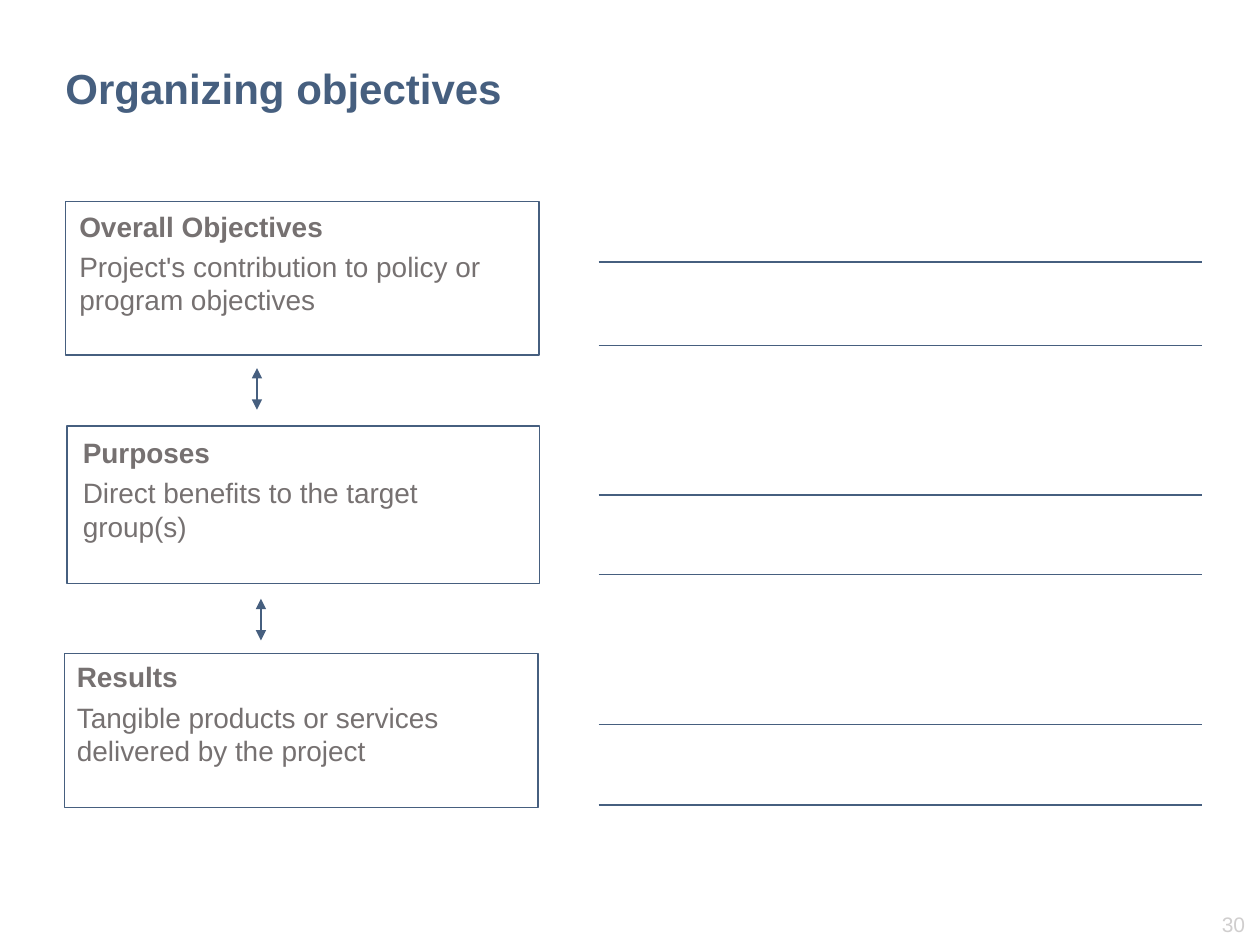
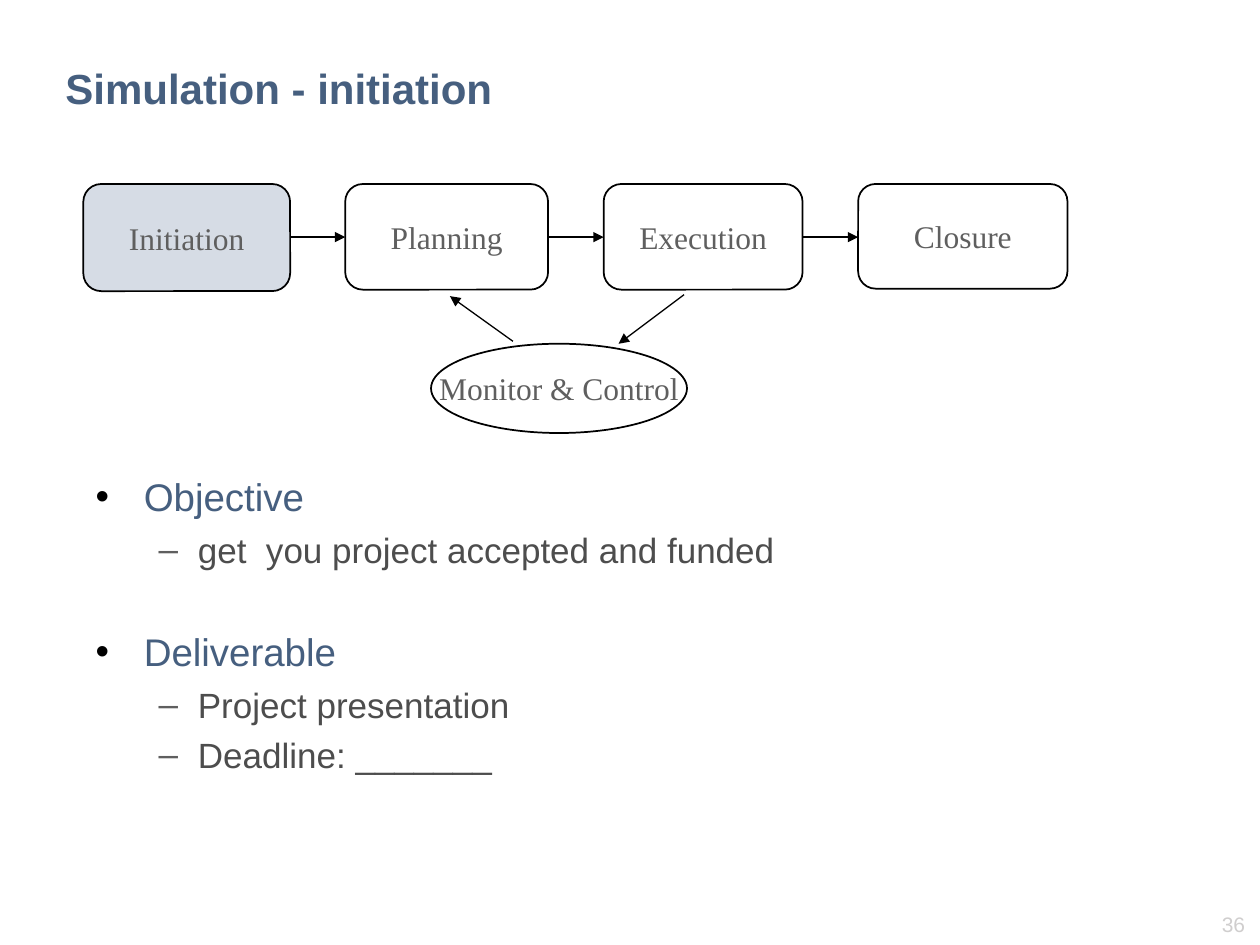
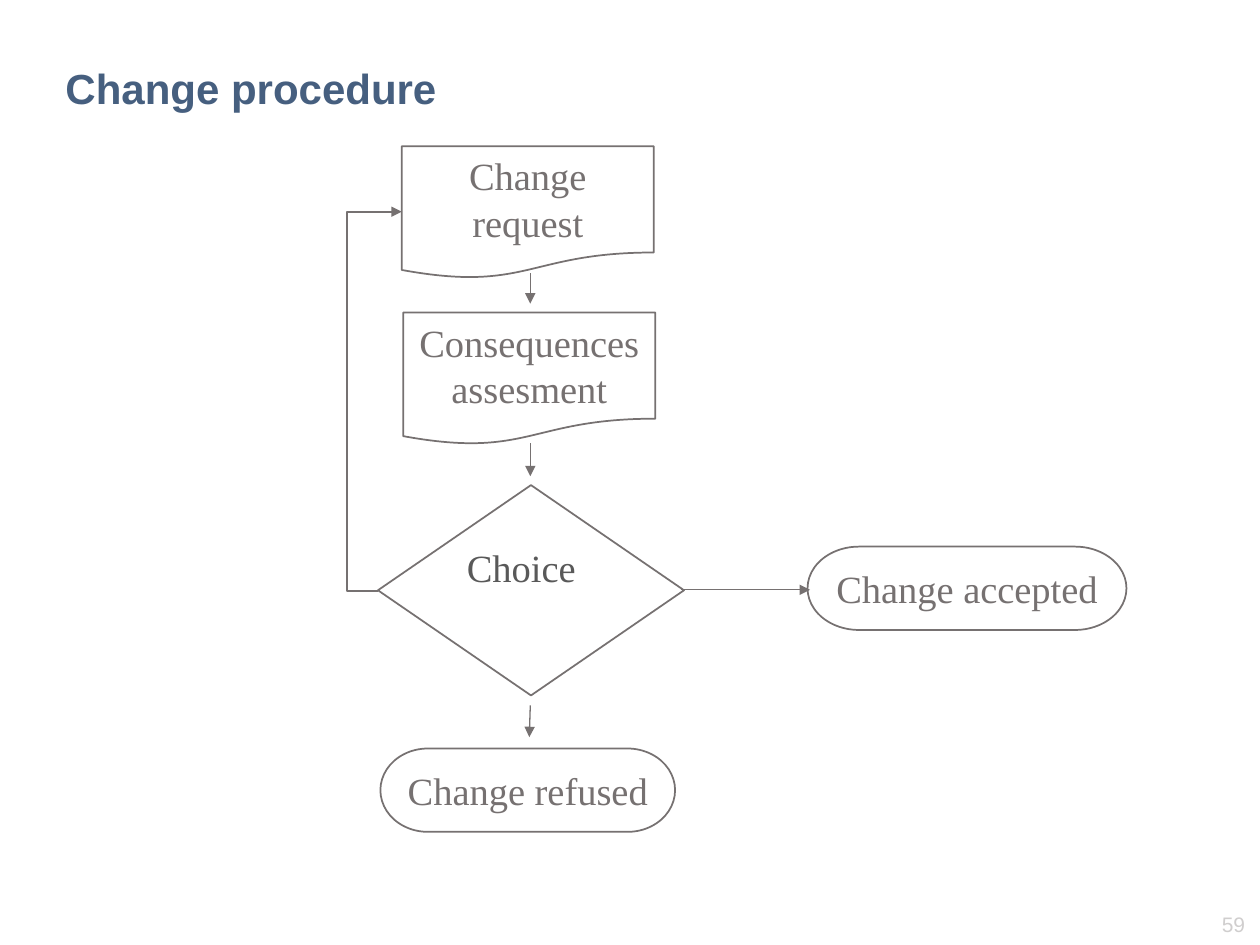
"""Three project management slides: objectives, initiation simulation and change procedure."""
from lxml.etree import SubElement
from pptx import Presentation
from pptx.dml.color import RGBColor
from pptx.enum.shapes import MSO_CONNECTOR, MSO_SHAPE
from pptx.enum.text import MSO_ANCHOR, PP_ALIGN
from pptx.oxml.ns import qn
from pptx.util import Cm, Pt

NAVY, GREY, MID_GREY, DARK_GREY = "465F7F", "767171", "5F5F5F", "4D4D4D"
BLACK, PALE_BLUE, PAGE_GREY = "000000", "D6DCE5", "D0CECE"
SANS, SERIF = "Arial", "Times New Roman"
color = RGBColor.from_string


def add_block(slide, box, lines=(), kind=None, size=16, font=SANS, ink=GREY, fill=None,
              edge=None, weight=1, align=PP_ALIGN.LEFT, anchor=MSO_ANCHOR.TOP, wrap=True):
    """Add a preset shape, or a text box when no kind is given, and return it."""
    place = [Cm(length) for length in box]
    if kind is None:
        block = slide.shapes.add_textbox(*place)
    else:
        block = slide.shapes.add_shape(kind, *place)
        block.shadow.inherit = False
    if fill:
        block.fill.solid()
        block.fill.fore_color.rgb = color(fill)
    else:
        block.fill.background()
    if edge:
        block.line.color.rgb = color(edge)
        block.line.width = Pt(weight)
    else:
        block.line.fill.background()
    frame = block.text_frame
    frame.word_wrap = wrap
    frame.vertical_anchor = anchor
    frame.text = "\n".join(lines)
    for paragraph in frame.paragraphs:
        paragraph.alignment = align
        for run in paragraph.runs:
            run.font.name = font
            run.font.size = Pt(size)
            run.font.color.rgb = color(ink)
    return block


def add_line(slide, start, end, ink, weight=0.75, ends=(), kind=MSO_CONNECTOR.STRAIGHT):
    """Add a connector with triangle heads at the named ends and return it."""
    line = slide.shapes.add_connector(kind, *(Cm(length) for length in (*start, *end)))
    line.line.color.rgb = color(ink)
    line.line.width = Pt(weight)
    properties = line._element.spPr
    for name in ends:
        SubElement(properties.find(qn("a:ln")), qn(f"a:{name}"), type="triangle")
    SubElement(properties, qn("a:effectLst"))
    return line


deck = Presentation()
deck.slide_width, deck.slide_height = Cm(25.4), Cm(19.05)

slides = []
for heading, page in [("Organizing objectives", "30"), ("Simulation - initiation", "36"),
                      ("Change procedure", "59")]:
    slide = deck.slides.add_slide(deck.slide_layouts[6])
    title = add_block(slide, (1.07, 0.81, 19.74, 1.9), [heading], size=24, ink=NAVY,
                      anchor=MSO_ANCHOR.MIDDLE)
    title.text_frame.paragraphs[0].runs[0].font.bold = True
    add_block(slide, (23.27, 18.26, 2.08, 0.76), [page], size=12, ink=PAGE_GREY,
              align=PP_ALIGN.RIGHT)
    slides.append(slide)
objectives, simulation, procedure = slides

levels = [
    ((1.32, 4.06, 9.55, 3.1), (1.35, 4.09, 9.32, 2.44), "Overall Objectives",
     "Project's contribution to policy or program objectives", (5.28, 6.96)),
    ((1.35, 8.59, 9.53, 3.18), (1.42, 8.66, 8.26, 2.44), "Purposes",
     "Direct benefits to the target group(s)", (9.98, 11.58)),
    ((1.3, 13.18, 9.55, 3.1), (1.3, 13.18, 8.64, 2.44), "Results",
     "Tangible products or services delivered by the project", (14.6, 16.23)),
]
for border, text_area, level, meaning, answer_rules in levels:
    add_block(objectives, border, kind=MSO_SHAPE.RECTANGLE, edge=NAVY, weight=0.75)
    name, description = add_block(objectives, text_area,
                                  [level, meaning]).text_frame.paragraphs
    name.runs[0].font.bold = True
    description.space_before = Pt(3.7)
    for y in answer_rules:
        add_line(objectives, (12.07, y), (24.23, y), NAVY)
for x, y in [(5.18, 7.42), (5.26, 12.07)]:
    add_line(objectives, (x, y), (x, y + 0.84), NAVY, ends=("headEnd", "tailEnd"))

phases = [("Initiation", 1.68, 4.17, 2.16, PALE_BLUE), ("Planning", 6.96, 4.09, 2.13, None),
          ("Execution", 12.17, 4.01, 2.13, None), ("Closure", 17.3, 4.22, 2.11, None)]
for phase, left, width, height, fill in phases:
    add_block(simulation, (left, 3.71, width, height), [phase], MSO_SHAPE.ROUNDED_RECTANGLE,
              18, SERIF, MID_GREY, fill, BLACK, align=PP_ALIGN.CENTER,
              anchor=MSO_ANCHOR.MIDDLE, wrap=False)
add_block(simulation, (8.69, 6.93, 5.16, 1.8), ["Monitor & Control"], MSO_SHAPE.OVAL, 18, SERIF,
          MID_GREY, edge=BLACK, align=PP_ALIGN.CENTER, anchor=MSO_ANCHOR.MIDDLE, wrap=False)
for before, after in zip(phases, phases[1:]):
    add_line(simulation, (before[1] + before[2], 4.78), (after[1], 4.78), BLACK,
             ends=("tailEnd",))
for start, end in [((13.79, 5.94), (12.47, 6.93)), ((10.34, 6.88), (9.07, 5.97))]:
    add_line(simulation, start, end, BLACK, ends=("tailEnd",))

goals = [("Objective", 0, 0), ("get  you project accepted and funded", 1, 5),
         ("Deliverable", 0, 33), ("Project presentation", 1, 5), ("Deadline: _______", 1, 5)]
outline = [(0.97, -0.97, "•", BLACK, 22, NAVY), (2.06, -0.79, "–", MID_GREY, 20, DARK_GREY)]
goal_list = add_block(simulation, (1.68, 9.42, 21.51, 7.57), [goal[0] for goal in goals])
for paragraph, (goal, level, gap) in zip(goal_list.text_frame.paragraphs, goals):
    margin, indent, mark, mark_ink, size, ink = outline[level]
    paragraph.level = level
    paragraph.space_before = Pt(gap)
    properties = paragraph._p.get_or_add_pPr()
    properties.set("marL", str(Cm(margin)))
    properties.set("indent", str(Cm(indent)))
    SubElement(SubElement(properties, qn("a:buClr")), qn("a:srgbClr"), val=mark_ink)
    SubElement(properties, qn("a:buFont"), typeface=SANS)
    SubElement(properties, qn("a:buChar"), char=mark)
    paragraph.runs[0].font.size = Pt(size)
    paragraph.runs[0].font.color.rgb = color(ink)

steps = [
    ("Change request", MSO_SHAPE.FLOWCHART_DOCUMENT, (8.1, 2.95, 5.08, 2.67), True),
    ("Consequences assesment", MSO_SHAPE.FLOWCHART_DOCUMENT, (8.13, 6.3, 5.08, 2.67), True),
    ("Change refused", MSO_SHAPE.FLOWCHART_TERMINATOR, (7.67, 15.09, 5.94, 1.68), False),
    ("Change accepted", MSO_SHAPE.FLOWCHART_TERMINATOR, (16.28, 11.02, 6.43, 1.68), False),
]
for step, kind, box, wrap in steps:
    add_block(procedure, box, [step], kind, 22, SERIF, edge=GREY, align=PP_ALIGN.CENTER,
              wrap=wrap)
add_block(procedure, (7.62, 9.78, 6.17, 4.24), ["Choice"], MSO_SHAPE.DIAMOND, 22, SERIF,
          "595959", edge=GREY)
for start, end in [((10.69, 5.51), (10.69, 6.12)), ((10.69, 8.94), (10.69, 9.6)),
                   ((13.72, 11.89), (16.33, 11.89)), ((10.69, 14.22), (10.67, 14.86))]:
    add_line(procedure, start, end, GREY, ends=("tailEnd",))
rework = add_line(procedure, (7.62, 11.91), (8.1, 4.27), GREY, 1, ("tailEnd",),
                  MSO_CONNECTOR.ELBOW)
bend = rework._element.spPr.find(qn("a:prstGeom")).get_or_add_avLst()
SubElement(bend, qn("a:gd"), name="adj1", fmla="val -131400")

deck.save("out.pptx")
